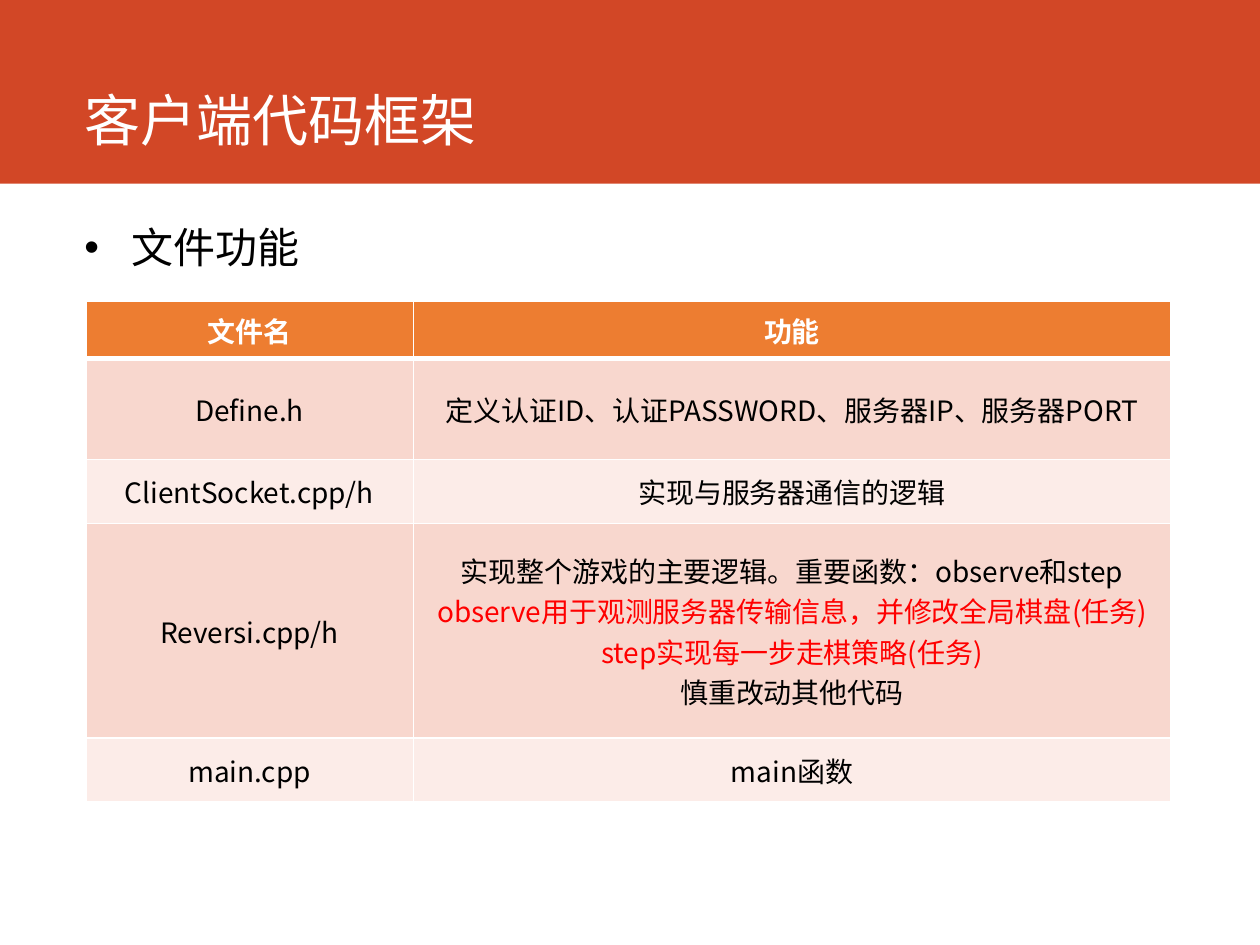
from dataclasses import dataclass

from lxml.etree import SubElement
from pptx import Presentation
from pptx.dml.color import RGBColor as Rgb
from pptx.enum.shapes import MSO_SHAPE as Shape
from pptx.enum.text import MSO_ANCHOR as Anchor, MSO_AUTO_SIZE as AutoSize, PP_ALIGN as Align
from pptx.oxml.ns import qn
from pptx.util import Pt


@dataclass(frozen=True)
class Theme:
    font: str = "Noto Sans CJK SC"
    banner: str = "D24726"
    header: str = "ED7D31"
    bands: tuple = ("F8D7CE", "FCECE8")
    light: str = "FFFFFF"
    text: str = "000000"
    task: str = "FF0000"
    title_size: int = 32
    body_size: int = 24
    table_size: int = 16


THEME = Theme()
WIDTH, HEIGHT = 720, 540
TITLE = "客户端代码框架"
TOPIC = "文件功能"
COLUMNS = (187.2, 432.7)
ROW_HEIGHTS = (33, 57.6, 36.7, 114.5, 36.7)
HEADINGS = ("文件名", "功能")
# Each file has a list of (description, is a task) lines.
FILES = (
    ("Define.h", [("定义认证ID、认证PASSWORD、服务器IP、服务器PORT", False)]),
    ("ClientSocket.cpp/h", [("实现与服务器通信的逻辑", False)]),
    ("Reversi.cpp/h", [
        ("实现整个游戏的主要逻辑。重要函数：observe和step", False),
        ("observe用于观测服务器传输信息，并修改全局棋盘(任务)", True),
        ("step实现每一步走棋策略(任务)", True),
        ("慎重改动其他代码", False),
    ]),
    ("main.cpp", [("main函数", False)]),
)


class SlideBuilder:
    def __init__(self, slide, theme):
        self.slide = slide
        self.theme = theme

    def styled_run(self, paragraph, text, size, color, bold=False):
        run = paragraph.add_run()
        run.text = text
        font = run.font
        font.name, font.size, font.bold = self.theme.font, Pt(size), bold
        font.color.rgb = Rgb.from_string(color)
        SubElement(font._element, qn("a:ea"), typeface=self.theme.font)

    def banner(self, height):
        """Add the colour band behind everything else."""
        band = self.slide.shapes.add_shape(Shape.RECTANGLE, 0, 0, Pt(WIDTH), Pt(height))
        band.shadow.inherit = False
        band.fill.solid()
        band.fill.fore_color.rgb = Rgb.from_string(self.theme.banner)
        band.line.fill.background()
        self.slide.shapes._spTree.insert(2, band._element)

    def fill_placeholder(self, holder, box, text, size, color, anchor):
        """Move a placeholder and return its only paragraph."""
        holder.left, holder.top, holder.width, holder.height = map(Pt, box)
        frame = holder.text_frame
        frame.word_wrap = True
        frame.auto_size = AutoSize.NONE
        frame.vertical_anchor = anchor
        paragraph = frame.paragraphs[0]
        paragraph.alignment = Align.LEFT
        paragraph.line_spacing = 0.9
        paragraph.space_before = Pt(0)
        self.styled_run(paragraph, text, size, color)
        return paragraph

    def title(self, box, text):
        self.fill_placeholder(self.slide.shapes.title, box, text,
                              self.theme.title_size, self.theme.light, Anchor.BOTTOM)

    def bullet(self, box, text, indent):
        paragraph = self.fill_placeholder(self.slide.placeholders[1], box, text,
                                          self.theme.body_size, self.theme.text, Anchor.TOP)
        properties = paragraph._p.get_or_add_pPr()
        properties.set("marL", str(Pt(indent)))
        properties.set("indent", str(-Pt(indent)))
        SubElement(properties, qn("a:buFont"), typeface="Arial")
        SubElement(properties, qn("a:buChar"), char="•")

    def border(self, cell, bottom_width):
        """Draw the four cell borders; they must precede the fill in the XML."""
        properties = cell._tc.get_or_add_tcPr()
        for side, width in (("L", 1), ("R", 1), ("T", 1), ("B", bottom_width)):
            line = SubElement(properties, qn(f"a:ln{side}"), w=str(Pt(width)))
            SubElement(SubElement(line, qn("a:solidFill")), qn("a:srgbClr"),
                       val=self.theme.light)

    def cell(self, cell, lines, fill, bold=False, bottom_width=1):
        """Fill a cell with (text, colour) lines."""
        self.border(cell, bottom_width)
        cell.fill.solid()
        cell.fill.fore_color.rgb = Rgb.from_string(fill)
        cell.vertical_anchor = Anchor.MIDDLE
        frame = cell.text_frame
        for index, (text, color) in enumerate(lines):
            paragraph = frame.add_paragraph() if index else frame.paragraphs[0]
            paragraph.alignment = Align.CENTER
            self.styled_run(paragraph, text, self.theme.table_size, color, bold)

    def file_table(self, left, top):
        theme = self.theme
        table = self.slide.shapes.add_table(
            len(ROW_HEIGHTS), len(COLUMNS), Pt(left), Pt(top),
            Pt(sum(COLUMNS)), Pt(sum(ROW_HEIGHTS))).table
        for column, width in zip(table.columns, COLUMNS):
            column.width = Pt(width)
        for row, height in zip(table.rows, ROW_HEIGHTS):
            row.height = Pt(height)
        for column, heading in enumerate(HEADINGS):
            self.cell(table.cell(0, column), [(heading, theme.light)], theme.header,
                      bold=True, bottom_width=3)
        for row, (name, description) in enumerate(FILES, start=1):
            fill = theme.bands[(row - 1) % 2]
            lines = [(text, theme.task if is_task else theme.text)
                     for text, is_task in description]
            self.cell(table.cell(row, 0), [(name, theme.text)], fill)
            self.cell(table.cell(row, 1), lines, fill)


def main():
    deck = Presentation()
    deck.slide_width, deck.slide_height = Pt(WIDTH), Pt(HEIGHT)
    builder = SlideBuilder(deck.slides.add_slide(deck.slide_layouts[1]), THEME)
    builder.banner(105)
    builder.title((41, 44.6, 317.5, 46.8), TITLE)
    builder.bullet((41, 126, 642, 36), TOPIC, 27)
    builder.file_table(49, 172)
    deck.save("out.pptx")


if __name__ == "__main__":
    main()
